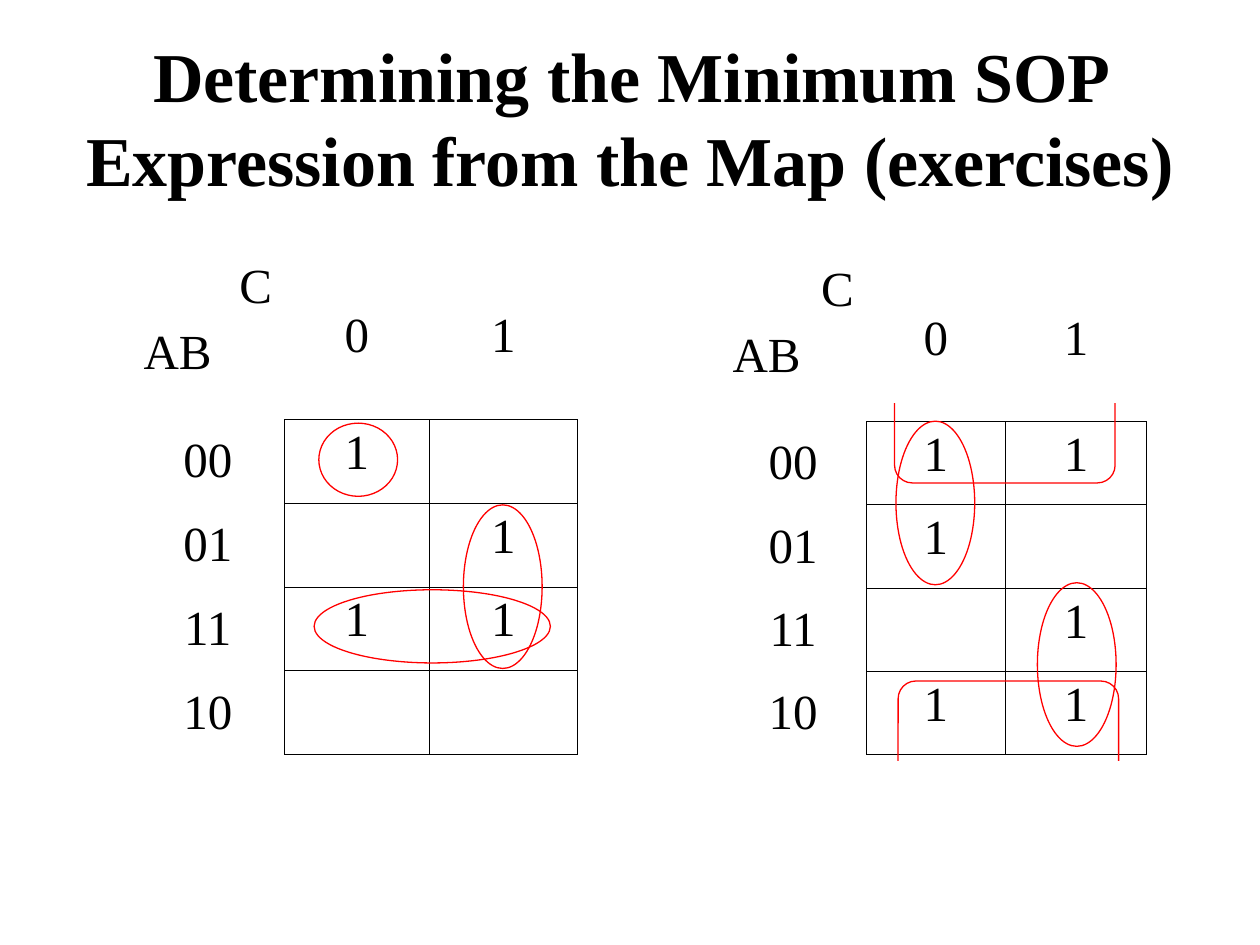
from lxml.etree import SubElement
from pptx import Presentation
from pptx.dml.color import RGBColor
from pptx.enum.shapes import MSO_SHAPE
from pptx.enum.text import MSO_ANCHOR, PP_ALIGN
from pptx.oxml.ns import qn
from pptx.util import Pt

BLACK = RGBColor(0, 0, 0)
WHITE = RGBColor(255, 255, 255)
RED = RGBColor(255, 0, 0)
FONT = "Times New Roman"
ROW_LABELS = ("00", "01", "11", "10")


def style_paragraph(paragraph, size, align, bold=False):
    paragraph.alignment = align
    paragraph.font.name = FONT
    paragraph.font.size = Pt(size)
    paragraph.font.bold = bold
    paragraph.font.color.rgb = BLACK


def add_title(page, text):
    box = page.shapes.add_textbox(Pt(36), Pt(21.6), Pt(648), Pt(90))
    frame = box.text_frame
    frame.word_wrap = True
    frame.vertical_anchor = MSO_ANCHOR.MIDDLE
    frame.text = text
    style_paragraph(frame.paragraphs[0], 40, PP_ALIGN.CENTER, bold=True)


def set_borders(cell, drawn_sides):
    properties = cell._tc.get_or_add_tcPr()
    for side in "LRTB":
        line = SubElement(properties, qn(f"a:ln{side}"), w=str(Pt(0.45)))
        if side in drawn_sides:
            fill = SubElement(line, qn("a:solidFill"))
            SubElement(fill, qn("a:srgbClr"), val=str(BLACK))
        else:
            SubElement(line, qn("a:noFill"))


def fill_cell(cell, text, borders, anchor):
    set_borders(cell, borders)
    cell.fill.background()
    cell.vertical_anchor = anchor
    cell.text = text
    style_paragraph(cell.text_frame.paragraphs[0], 28, PP_ALIGN.CENTER)


def fill_corner(cell):
    fill_cell(cell, "C", "", MSO_ANCHOR.TOP)
    column_variable = cell.text_frame.paragraphs[0]
    column_variable.alignment = PP_ALIGN.RIGHT
    row_variables = cell.text_frame.add_paragraph()
    row_variables.text = "AB"
    row_variables.space_before = Pt(7)
    style_paragraph(row_variables, 28, PP_ALIGN.LEFT)


def add_map(page, left, top, widths, header_height, row_height, values):
    heights = [header_height] + [row_height] * len(ROW_LABELS)
    table = page.shapes.add_table(
        len(heights), len(widths), Pt(left), Pt(top), Pt(sum(widths)), Pt(sum(heights))
    ).table
    table.first_row = False
    table.horz_banding = False
    for column, width in zip(table.columns, widths):
        column.width = Pt(width)
    for row, height in zip(table.rows, heights):
        row.height = Pt(height)

    fill_corner(table.cell(0, 0))
    for column, label in enumerate("01", start=1):
        fill_cell(table.cell(0, column), label, "B", MSO_ANCHOR.MIDDLE)
    for row, (label, ones) in enumerate(zip(ROW_LABELS, values), start=1):
        fill_cell(table.cell(row, 0), label, "R", MSO_ANCHOR.MIDDLE)
        for column, value in enumerate(ones, start=1):
            fill_cell(table.cell(row, column), value.strip(), "LRTB", MSO_ANCHOR.TOP)


def add_outline(shapes, kind, left, top, width, height, color=RED):
    shape = shapes.add_shape(kind, Pt(left), Pt(top), Pt(width), Pt(height))
    shape.shadow.inherit = False
    shape.fill.background()
    shape.line.color.rgb = color
    shape.line.width = Pt(0.75)
    return shape


def add_open_loop(page, left, top, cover_top):
    shapes = page.shapes.add_group_shape().shapes
    add_outline(shapes, MSO_SHAPE.FLOWCHART_ALTERNATE_PROCESS, left, top, 126, 60.5)
    cover = add_outline(
        shapes, MSO_SHAPE.RECTANGLE, left - 11.5, cover_top, 150, 24, WHITE
    )
    cover.fill.solid()
    cover.fill.fore_color.rgb = WHITE


def add_ellipses(page, bounds):
    for place in bounds:
        add_outline(page.shapes, MSO_SHAPE.OVAL, *place)


def main():
    deck = Presentation()
    deck.slide_width, deck.slide_height = Pt(720), Pt(540)
    page = deck.slides.add_slide(deck.slide_layouts[6])

    add_title(page, "Determining the Minimum SOP Expression from the Map (exercises)")
    add_map(page, 74.9, 144.7, (87.7, 82.8, 84.6), 95, 47.85,
            ("1 ", " 1", "11", "  "))
    add_map(page, 411.4, 146.4, (83.7, 79.5, 80.6), 94.5, 47.57,
            ("11", "1 ", " 1", "11"))

    add_ellipses(page, (
        (264.8, 288.5, 45, 93.5),
        (182.2, 241.8, 45, 41.8),
        (179.5, 337, 135, 41.8),
    ))
    add_open_loop(page, 511.2, 215.5, 206)
    add_open_loop(page, 513.2, 389.2, 435.4)
    add_ellipses(page, (
        (512, 240.7, 45, 93.5),
        (592.8, 333, 45, 93.5),
    ))

    deck.save("out.pptx")


if __name__ == "__main__":
    main()
